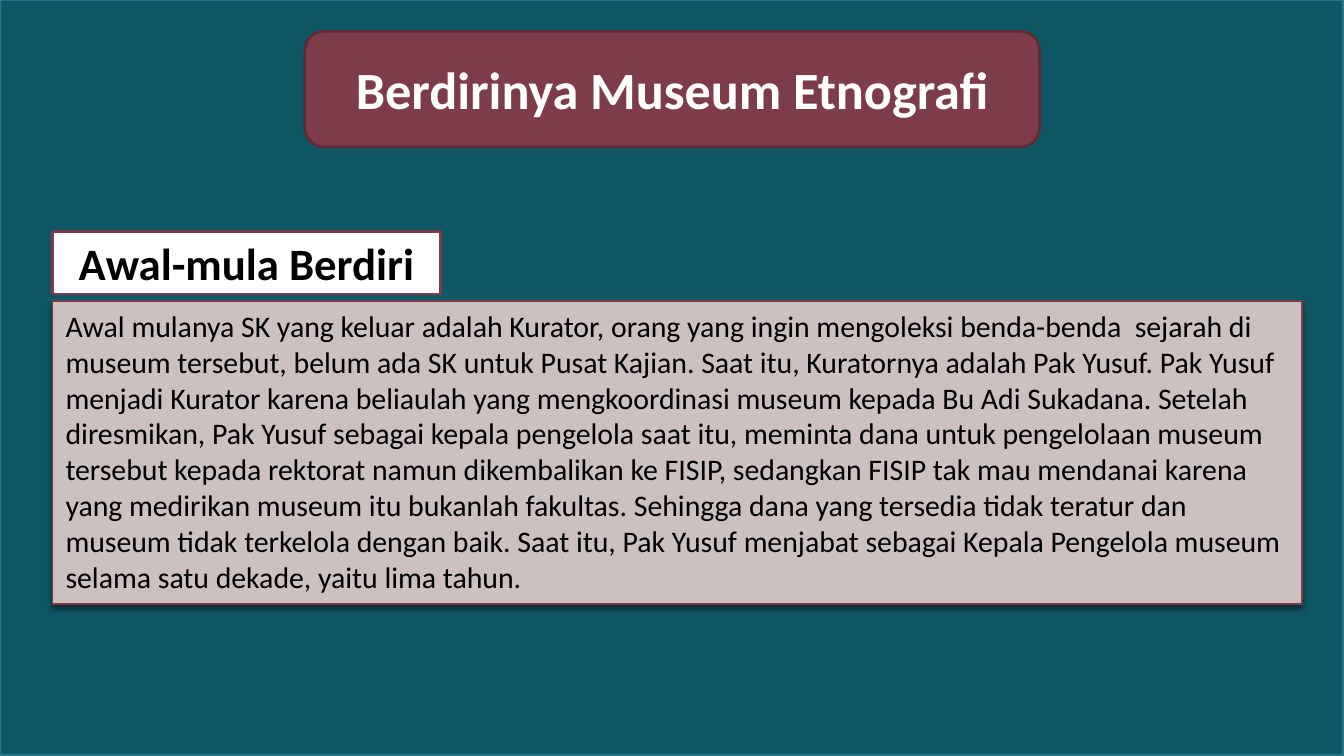
"""Build a slide about the founding of the ethnography museum."""
from lxml import etree
from pptx import Presentation
from pptx.dml.color import RGBColor
from pptx.enum.shapes import MSO_SHAPE
from pptx.enum.text import MSO_ANCHOR, PP_ALIGN
from pptx.oxml import parse_xml
from pptx.oxml.ns import nsdecls
from pptx.util import Cm, Pt

TEAL = RGBColor(0x10, 0x57, 0x66)
TEAL_EDGE = RGBColor(0x21, 0x78, 0x8D)
MAROON = RGBColor(0x7D, 0x3C, 0x4A)
MAROON_EDGE = RGBColor(0x5C, 0x2C, 0x37)
ROSE = RGBColor(0xCC, 0xC0, 0xC1)
WHITE = RGBColor(0xFF, 0xFF, 0xFF)
BLACK = RGBColor(0, 0, 0)

WIDTH, HEIGHT = 25.4, 14.29
LEFT = 0.99
HISTORY = (
    "Awal mulanya SK yang keluar adalah Kurator, orang yang ingin mengoleksi "
    "benda-benda  sejarah di museum tersebut, belum ada SK untuk Pusat Kajian. "
    "Saat itu, Kuratornya adalah Pak Yusuf. Pak Yusuf menjadi Kurator karena "
    "beliaulah yang mengkoordinasi museum kepada Bu Adi Sukadana. Setelah "
    "diresmikan, Pak Yusuf sebagai kepala pengelola saat itu, meminta dana untuk "
    "pengelolaan museum tersebut kepada rektorat namun dikembalikan ke FISIP, "
    "sedangkan FISIP tak mau mendanai karena yang medirikan museum itu bukanlah "
    "fakultas. Sehingga dana yang tersedia tidak teratur dan museum tidak terkelola "
    "dengan baik. Saat itu, Pak Yusuf menjabat sebagai Kepala Pengelola museum "
    "selama satu dekade, yaitu lima tahun."
)


class SlideBuilder:
    font = "Calibri"

    def __init__(self, slide):
        self.slide = slide

    def panel(self, box, fill, edge, width=1.5, kind=MSO_SHAPE.RECTANGLE):
        s = self.slide.shapes.add_shape(kind, *(Cm(v) for v in box))
        s.shadow.inherit = False
        s.fill.solid()
        s.fill.fore_color.rgb = fill
        s.line.color.rgb = edge
        s.line.width = Pt(width)
        return s

    def label(self, s, text, size, color, bold=False, align=PP_ALIGN.CENTER,
              anchor=MSO_ANCHOR.MIDDLE):
        tf = s.text_frame
        tf.text = text
        tf.word_wrap = True
        tf.vertical_anchor = anchor
        p = tf.paragraphs[0]
        p.alignment = align
        font = p.runs[0].font
        font.name, font.size, font.bold = self.font, Pt(size), bold
        font.color.rgb = color

    def drop_shadow(self, s, blur=3, distance=2.4, alpha=45):
        shadow = parse_xml(
            f'<a:outerShdw {nsdecls("a")} blurRad="{Pt(blur)}" dist="{Pt(distance)}" '
            f'dir="5400000" rotWithShape="0"><a:srgbClr val="{BLACK}"/></a:outerShdw>'
        )
        etree.SubElement(shadow[0], shadow[0].tag.replace("srgbClr", "alpha"),
                         val=str(alpha * 1000))
        s._element.spPr.find("{*}effectLst").append(shadow)


def main():
    prs = Presentation()
    prs.slide_width, prs.slide_height = Cm(WIDTH), Cm(HEIGHT)
    builder = SlideBuilder(prs.slides.add_slide(prs.slide_layouts[6]))

    builder.panel((0, 0, WIDTH, HEIGHT), TEAL, TEAL_EDGE)

    title = builder.panel((5.76, 0.59, 13.89, 2.19), MAROON, MAROON_EDGE,
                          kind=MSO_SHAPE.ROUNDED_RECTANGLE)
    builder.label(title, "Berdirinya Museum Etnografi", 28, WHITE, bold=True)

    history = builder.panel((LEFT, 5.69, 23.62, 5.73), ROSE, MAROON, width=0.79)
    builder.drop_shadow(history)
    builder.label(history, HISTORY, 16, BLACK, align=PP_ALIGN.LEFT, anchor=MSO_ANCHOR.TOP)

    heading = builder.panel((LEFT, 4.37, 7.34, 1.19), WHITE, MAROON)
    builder.label(heading, "Awal-mula Berdiri", 24, BLACK, bold=True)

    prs.save("out.pptx")


if __name__ == "__main__":
    main()
